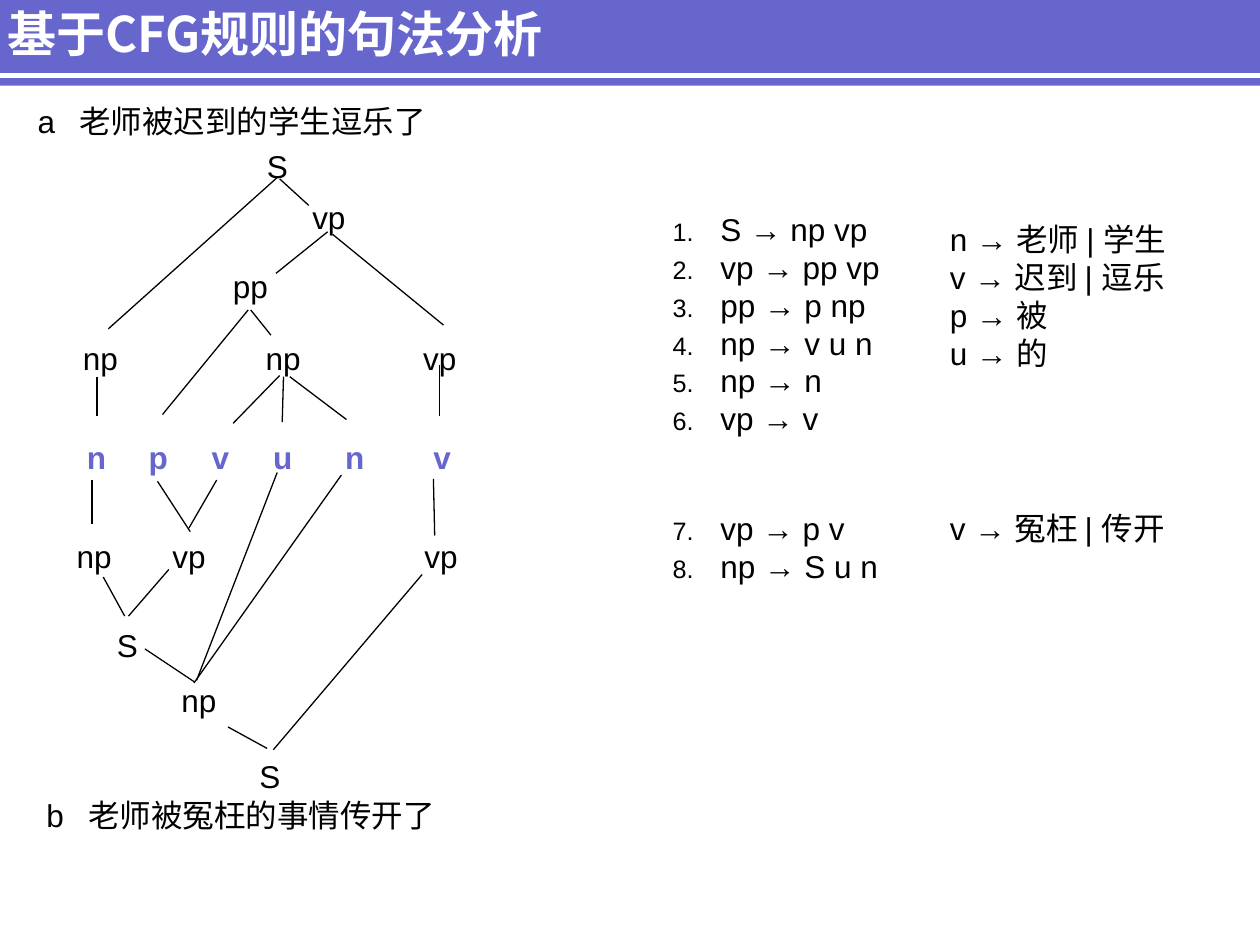
from lxml import etree
from pptx import Presentation
from pptx.dml.color import RGBColor
from pptx.enum.shapes import MSO_CONNECTOR, MSO_SHAPE
from pptx.enum.text import MSO_ANCHOR, MSO_AUTO_SIZE
from pptx.oxml.ns import qn
from pptx.util import Inches, Pt

STRAIGHT = MSO_CONNECTOR.STRAIGHT
RECT = MSO_SHAPE.RECTANGLE
TOP, MIDDLE = MSO_ANCHOR.TOP, MSO_ANCHOR.MIDDLE
GROW = MSO_AUTO_SIZE.SHAPE_TO_FIT_TEXT
NO_FIT = MSO_AUTO_SIZE.NONE

BLUE = RGBColor(0x66, 0x66, 0xCC)
BLACK = RGBColor(0, 0, 0)
WHITE = RGBColor(0xFF, 0xFF, 0xFF)
LATIN, CJK = "Arial", "Noto Sans CJK SC"

# Node: text, left, top, width, height, line spacing, tab stops
UPPER_NODES = [
    ("S", 1.52, 0.07, 0.5, 0.55, 1.5, ()),
    ("vp", 1.88, 0.47, 0.62, 0.55, 1.5, ()),
    ("pp", 1.25, 1.02, 0.62, 0.55, 1.5, ()),
    ("np\tnp\tvp", 0.06, 1.59, 3.86, 0.55, 1.5, (1.45, 2.7)),
]
# Branch: x and y of each end
UPPER_BRANCHES = [
    (1.71, 0.5, 0.36, 1.71), (1.72, 0.52, 1.95, 0.73),
    (2.1, 0.94, 1.69, 1.27), (2.14, 0.96, 3.02, 1.68),
    (1.47, 1.56, 0.79, 2.39), (1.49, 1.56, 1.65, 1.76),
    (0.27, 2.09, 0.27, 2.4), (1.72, 2.08, 1.35, 2.46),
    (1.75, 2.09, 1.74, 2.45), (1.8, 2.09, 2.25, 2.43),
    (2.99, 2.0, 2.99, 2.4),
]
LOWER_NODES = [
    ("np\tvp\tvp", 0.01, 0.36, 3.43, 1.0, 1.5, (0.76, 2.76)),
    ("S", 0.33, 1.07, 0.55, 0.55, 1.5, ()),
    ("np", 0.84, 1.66, 0.48, 0.4, 1, ()),
    ("S", 1.46, 2.11, 0.62, 0.55, 1.5, ()),
]
LOWER_BRANCHES = [
    (0.23, 0.46, 0.23, 0.11), (1.01, 0.52, 0.75, 0.12),
    (1.0, 0.49, 1.22, 0.11), (1.06, 1.7, 1.7, 0.05),
    (1.04, 1.72, 2.21, 0.07), (2.95, 0.55, 2.94, 0.1),
    (0.49, 1.19, 0.32, 0.88), (0.52, 1.19, 0.84, 0.82),
    (0.65, 1.45, 1.04, 1.71), (1.62, 2.24, 1.31, 2.07),
    (1.67, 2.25, 2.85, 0.86),
]


def add_numbering(p, start):
    pPr = p._p.get_or_add_pPr()
    pPr.set("marL", str(Inches(0.38)))
    pPr.set("indent", str(-Inches(0.38)))
    color = etree.SubElement(pPr, qn("a:buClr"))
    etree.SubElement(color, qn("a:srgbClr"), val=str(BLACK))
    etree.SubElement(pPr, qn("a:buSzPct"), val="80000")
    etree.SubElement(pPr, qn("a:buAutoNum"), type="arabicPeriod", startAt=str(start))


def add_tabs(p, stops):
    tabs = etree.SubElement(p._p.get_or_add_pPr(), qn("a:tabLst"))
    for stop in stops:
        etree.SubElement(tabs, qn("a:tab"), pos=str(Inches(stop)), algn="l")


def add_text(s, text, x, y, w, h, size=18, font=LATIN, color=BLACK, bold=False,
             spacing=1, tabs=(), start=None, anchor=TOP, fit=GROW):
    """Each line of text becomes a paragraph; start numbers them from that value."""
    sp = s.shapes.add_textbox(Inches(x), Inches(y), Inches(w), Inches(h))
    tf = sp.text_frame
    tf.word_wrap = True
    tf.auto_size = fit
    tf.vertical_anchor = anchor
    for i, line in enumerate(text.split("\n")):
        p = tf.add_paragraph() if i else tf.paragraphs[0]
        if start is not None:
            add_numbering(p, start)
        if tabs:
            add_tabs(p, tabs)
        p.line_spacing = spacing
        r = p.add_run()
        r.text = line
        r.font.size = Pt(size)
        r.font.name = font
        r.font.bold = bold
        r.font.color.rgb = color
        etree.SubElement(r._r.get_or_add_rPr(), qn("a:ea"), typeface=CJK)


def add_line(s, x1, y1, x2, y2, color=BLACK, width=0.75):
    c = s.shapes.add_connector(STRAIGHT, Inches(x1), Inches(y1), Inches(x2), Inches(y2))
    c.line.color.rgb = color
    c.line.width = Pt(width)
    etree.SubElement(c._element.spPr, qn("a:effectLst"))


def draw_header(s, x, y, w, h):
    band = s.shapes.add_shape(RECT, Inches(x), Inches(y), Inches(w), Inches(h))
    band.shadow.inherit = False
    band.fill.solid()
    band.fill.fore_color.rgb = BLUE
    band.line.fill.background()
    add_line(s, x, y + 0.63, x + w, y + 0.63, color=WHITE, width=3)
    add_text(s, "基于CFG规则的句法分析", x, y + 0.08, 8.77, 0.43, size=28, font=CJK,
             color=WHITE, bold=True, anchor=MIDDLE, fit=NO_FIT)


def draw_tree(s, x, y, nodes, branches):
    for text, dx, dy, w, h, spacing, tabs in nodes:
        add_text(s, text, x + dx, y + dy, w, h, spacing=spacing, tabs=tabs)
    for x1, y1, x2, y2 in branches:
        add_line(s, x + x1, y + y1, x + x2, y + y2)


def draw_sentences(s, x, y):
    """Sentence a above the trees, the shared word classes, and sentence b below."""
    add_text(s, "a\t老师被迟到的学生逗乐了", x, y, 3.86, 0.4, tabs=(0.33,))
    add_text(s, "n\tp\tv\tu\tn\tv", x + 0.39, y + 2.52, 3.79, 0.55, color=BLUE,
             bold=True, spacing=1.5, tabs=(0.49, 0.99, 1.48, 2.05, 2.75))
    add_text(s, "b\t老师被冤枉的事情传开了", x + 0.07, y + 5.51, 3.78, 0.4, tabs=(0.33,))


def draw_grammar(s, x, y):
    lexicon_x, extra_y = x + 2.2, y + 2.37
    add_text(s, "S → np vp\nvp → pp vp\npp → p np\nnp → v u n\nnp → n\nvp → v",
             x, y, 2.13, 1.9, start=1)
    add_text(s, "vp → p v\nnp → S u n", x, extra_y, 1.97, 0.7, start=7)
    add_text(s, "n → 老师 | 学生\nv → 迟到 | 逗乐\np → 被\nu → 的",
             lexicon_x, y + 0.08, 2.13, 1.3)
    add_text(s, "v → 冤枉 | 传开", lexicon_x, extra_y, 2.13, 0.4)


def main():
    prs = Presentation()
    prs.slide_width, prs.slide_height = Inches(10), Inches(7.5)
    s = prs.slides.add_slide(prs.slide_layouts[6])
    draw_header(s, -0.04, -0.03, 10.04, 0.71)
    draw_sentences(s, 0.2, 0.76)
    draw_tree(s, 0.5, 0.9, UPPER_NODES, UPPER_BRANCHES)
    draw_tree(s, 0.5, 3.7, LOWER_NODES, LOWER_BRANCHES)
    draw_grammar(s, 5.24, 1.62)
    prs.save("out.pptx")


if __name__ == "__main__":
    main()
